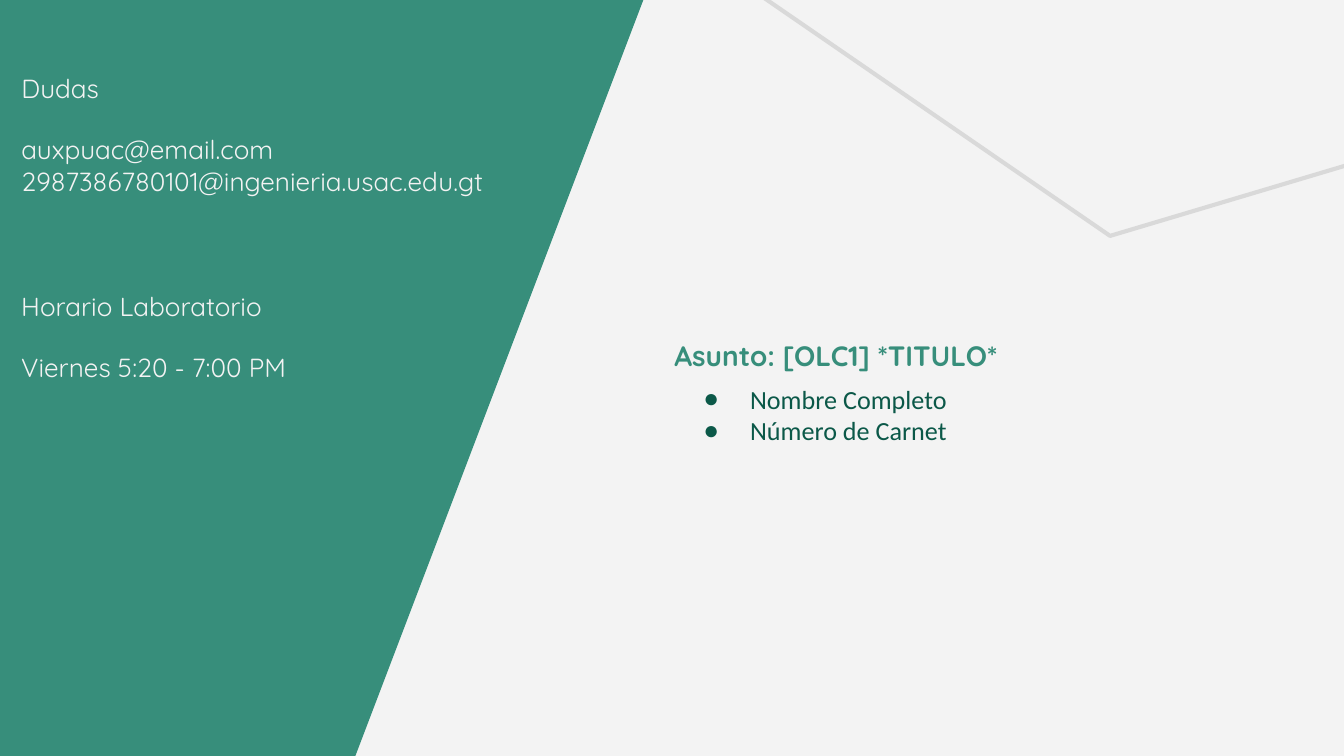
from pptx import Presentation
from pptx.dml.color import RGBColor
from pptx.enum.shapes import MSO_SHAPE
from pptx.enum.text import MSO_ANCHOR, MSO_AUTO_SIZE, PP_ALIGN
from pptx.oxml import parse_xml
from pptx.oxml.ns import nsdecls
from pptx.util import Pt

GREEN, DARK, PALE, GREY = "378E7B", "0B5848", "F3F3F3", "D9D9D9"


def rgb(value):
    return RGBColor.from_string(value)


def write(sp, box, lines, font, size, color, bold=False, anchor=MSO_ANCHOR.TOP):
    """Place a text shape at box (points) and write one paragraph per line."""
    sp.left, sp.top, sp.width, sp.height = [Pt(v) for v in box]
    tf = sp.text_frame
    tf.word_wrap = True
    tf.auto_size = MSO_AUTO_SIZE.NONE
    tf.vertical_anchor = anchor
    tf.margin_left = tf.margin_right = tf.margin_top = tf.margin_bottom = Pt(7.2)
    tf.text = "\n".join(lines)
    for p in tf.paragraphs:
        p.alignment = PP_ALIGN.LEFT
        p.space_before = Pt(0)
        p.font.name = font
        p.font.size = Pt(size)
        p.font.bold = bold
        p.font.color.rgb = rgb(color)
    return tf


prs = Presentation()
prs.slide_width, prs.slide_height = Pt(720), Pt(405)
s = prs.slides.add_slide(prs.slide_layouts[1])
s.background.fill.solid()
s.background.fill.fore_color.rgb = rgb(PALE)
title, body = s.placeholders

# Bent line at the top right
points = [(Pt(x), Pt(y)) for x, y in [(373.7, -25.6), (594.7, 126.4), (739.4, 83.2)]]
fb = s.shapes.build_freeform(*points[0])
fb.add_line_segments(points[1:], close=False)
bent_line = fb.convert_to_shape()
bent_line.shadow.inherit = False
bent_line.fill.background()
bent_line.line.color.rgb = rgb(GREY)
bent_line.line.width = Pt(2.2)

# Green panel with a slanted right edge
points = [(Pt(x), Pt(y)) for x, y in [(33.8, -0.7), (344.9, -0.7), (188.6, 409.7), (29.5, 409.7)]]
fb = s.shapes.build_freeform(*points[0])
fb.add_line_segments(points[1:])
slant = fb.convert_to_shape()
edge = s.shapes.add_shape(MSO_SHAPE.RECTANGLE, Pt(0), Pt(-0.7), Pt(62), Pt(406.8))
for sp in (slant, edge):
    sp.shadow.inherit = False
    sp.fill.solid()
    sp.fill.fore_color.rgb = rgb(GREEN)
    sp.line.fill.background()

# Contact and timetable on the panel
timetable = s.shapes.add_textbox(0, 0, 0, 0)
contact_lines = ["Dudas", "auxpuac@email.com", "2987386780101@ingenieria.usac.edu.gt"]
timetable_lines = ["Horario Laboratorio", "Viernes 5:20 - 7:00 PM"]
for sp, box, lines in [
    (title, (4.3, 31.7, 290.9, 74.2), contact_lines),
    (timetable, (4.3, 148.3, 167.8, 74.2), timetable_lines),
]:
    tf = write(sp, box, lines, "Quicksand", 14, PALE)
    tf.paragraphs[0].space_after = Pt(16)

# Subject line and what the message must hold
subject = s.shapes.add_textbox(0, 0, 0, 0)
write(subject, (354.2, 130.3, 326.2, 76.3), ["Asunto: [OLC1] *TITULO*"],
      "Quicksand", 15, GREEN, bold=True, anchor=MSO_ANCHOR.BOTTOM)
tf = write(body, (358.6, 198, 290.9, 149), ["Nombre Completo", "Número de Carnet"],
           "Calibri", 14, DARK)
for p in tf.paragraphs:
    pPr = p._p.get_or_add_pPr()
    pPr.set("marL", str(Pt(36)))
    pPr.set("indent", str(Pt(-25)))
    bullet = parse_xml(f'<a:buChar {nsdecls("a")} char="●"/>')
    color = parse_xml(f'<a:buClr {nsdecls("a")}><a:srgbClr val="{DARK}"/></a:buClr>')
    pPr.find("{*}defRPr").addprevious(bullet)
    bullet.addprevious(color)

# Text goes in front of the panel
for sp in (title, body):
    s.shapes._spTree.append(sp._element)

prs.save("out.pptx")
